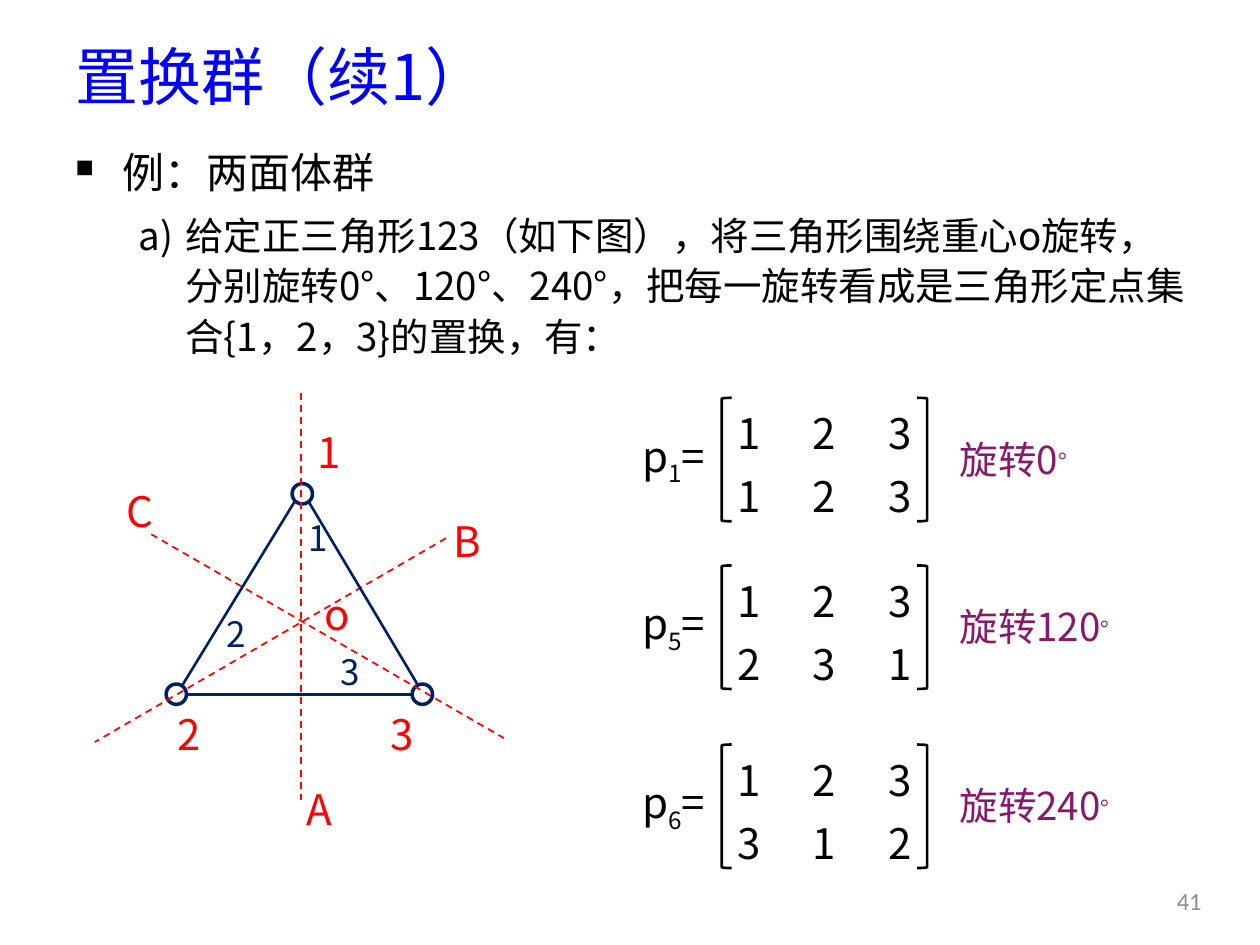
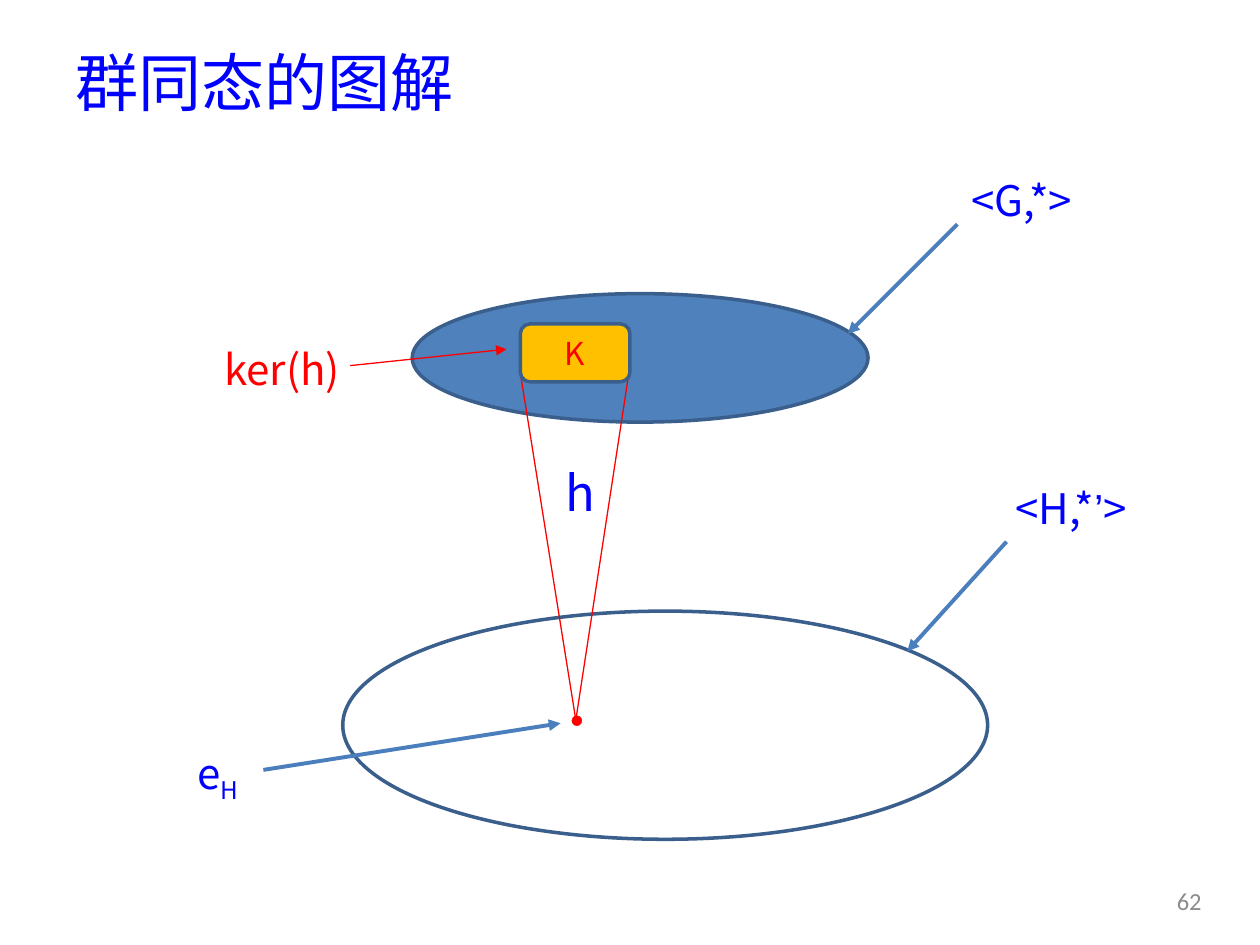
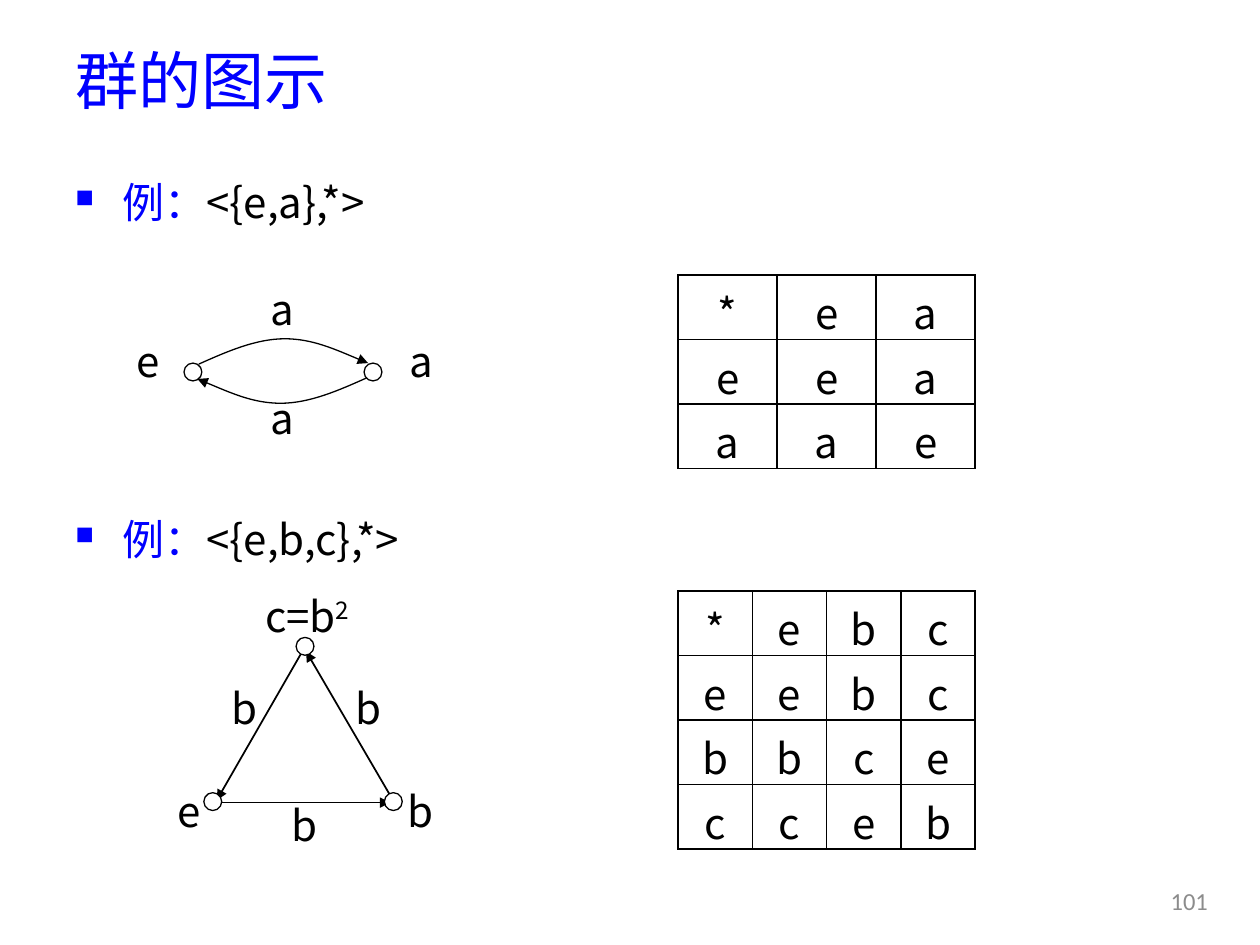
"""Build three slides on permutation groups, homomorphisms and group diagrams."""
from lxml.etree import SubElement
from pptx import Presentation
from pptx.dml.color import RGBColor
from pptx.enum.dml import MSO_LINE
from pptx.enum.shapes import MSO_CONNECTOR, MSO_SHAPE
from pptx.enum.text import MSO_ANCHOR, PP_ALIGN
from pptx.oxml.ns import qn
from pptx.util import Cm, Pt

FONT = "Noto Sans CJK SC"
BLUE = RGBColor(0x00, 0x00, 0xFF)
BLACK = RGBColor(0x00, 0x00, 0x00)
WHITE = RGBColor(0xFF, 0xFF, 0xFF)
RED = RGBColor(0xFF, 0x00, 0x00)
NAVY = RGBColor(0x00, 0x20, 0x60)
PURPLE = RGBColor(0x87, 0x19, 0x6A)
GRAY = RGBColor(0x8C, 0x8C, 0x8C)
STEEL = RGBColor(0x4F, 0x81, 0xBD)
STEEL_EDGE = RGBColor(0x3A, 0x5F, 0x8C)
ARROW_BLUE = RGBColor(0x4B, 0x7E, 0xBC)
GOLD = RGBColor(0xFF, 0xC0, 0x00)
LEFT, CENTER = PP_ALIGN.LEFT, PP_ALIGN.CENTER


def write(paragraph, size, color, text, baseline=0, font=FONT):
    """Append one formatted run; baseline is a percentage."""
    run = paragraph.add_run()
    run.text = text
    run.font.size = Pt(size)
    run.font.color.rgb = color
    run.font.name = font
    properties = run.font._element
    SubElement(properties, qn("a:ea")).set("typeface", font)
    if baseline:
        properties.set("baseline", str(baseline * 1000))


def style_line(shape, color, width, mark=None):
    """Set the outline, an optional dash or arrow, and no shadow."""
    shape.line.color.rgb = color
    shape.line.width = Pt(width)
    if mark == "dash":
        shape.line.dash_style = MSO_LINE.DASH
    if mark == "arrow":
        outline = shape.element.spPr.find(qn("a:ln"))
        SubElement(outline, qn("a:tailEnd")).set("type", "triangle")
    SubElement(shape.element.spPr, qn("a:effectLst"))


presentation = Presentation()
presentation.slide_width = Cm(25.4)
presentation.slide_height = Cm(19.05)
blank_layout = presentation.slide_layouts[6]
rotation_slide, kernel_slide, diagram_slide = [
    presentation.slides.add_slide(blank_layout) for _ in range(3)]

bodies = [
    (rotation_slide, 2.72, 5.21, [
        [("例：两面体群", BLACK)],
        [("给定正三角形123（如下图），将三角形围绕重心o旋转，分别旋转0°、120°、240°，"
          "把每一旋转看成是三角形定点集合{1，2，3}的置换，有：", BLACK)]]),
    (diagram_slide, 3.33, 2.01, [[("例：", BLUE), ("<{e,a},*>", BLACK)]]),
    (diagram_slide, 10.13, 1.6, [[("例：", BLUE), ("<{e,b,c},*>", BLACK)]]),
]
for slide, top, height, paragraphs in bodies:
    text_frame = slide.shapes.add_textbox(
        Cm(1.27), Cm(top), Cm(22.86), Cm(height)).text_frame
    text_frame.word_wrap = True
    for level, pieces in enumerate(paragraphs):
        paragraph = text_frame.add_paragraph() if level else text_frame.paragraphs[0]
        paragraph.level = level
        paragraph.line_spacing = 1.1
        paragraph.space_after = Pt(6)
        properties = paragraph._p.get_or_add_pPr()
        properties.set("marL", str(Cm(0.95 + 1.27 * level)))
        properties.set("indent", str(-Cm(0.95)))
        if level:
            SubElement(properties, qn("a:buAutoNum")).set("type", "alphaLcParenR")
        else:
            SubElement(properties, qn("a:buSzPct")).set("val", "60000")
            SubElement(properties, qn("a:buChar")).set("char", "■")
        for text, color in pieces:
            write(paragraph, 24 - 2 * level, color, text)

permutations = [(7.95, "1", "0", "123"), (11.33, "5", "120", "231"), (14.94, "6", "240", "312")]
bracket_tops = [top + 0.07 for top, *_ in permutations]

LINE = None
drawings = [
    (rotation_slide, MSO_SHAPE.LEFT_BRACKET, BLACK, 1.5, None, None,
     [(14.55, top, 0.2, 2.49) for top in bracket_tops]),
    (rotation_slide, MSO_SHAPE.RIGHT_BRACKET, BLACK, 1.5, None, None,
     [(18.49, top, 0.2, 2.49) for top in bracket_tops]),
    (rotation_slide, MSO_SHAPE.OVAL, NAVY, 2, None, None,
     [(left, top, 0.41, 0.41) for left, top in [(5.89, 9.75), (8.31, 13.79), (3.35, 13.79)]]),
    (rotation_slide, LINE, RED, 1, None, "dash",
     [(6.07, 7.92, 6.07, 16.13), (8.99, 10.85, 1.91, 14.96), (3.05, 10.77, 10.16, 14.88)]),
    (rotation_slide, LINE, NAVY, 1.5, None, None,
     [(3.66, 13.84, 5.94, 10.11), (8.43, 13.82, 6.22, 10.11), (3.73, 14, 8.33, 14)]),
    (kernel_slide, MSO_SHAPE.OVAL, STEEL_EDGE, 2, STEEL, None, [(8.31, 5.92, 9.19, 2.59)]),
    (kernel_slide, MSO_SHAPE.OVAL, STEEL_EDGE, 2, None, None, [(6.91, 12.32, 13, 4.6)]),
    (kernel_slide, MSO_SHAPE.OVAL, RED, 0.25, RED, None, [(11.53, 14.43, 0.2, 0.2)]),
    (kernel_slide, LINE, RED, 0.75, None, None,
     [(10.49, 7.52, 11.61, 14.53), (12.67, 7.57, 11.61, 14.5)]),
    (kernel_slide, LINE, RED, 0.75, None, "arrow", [(7.06, 7.37, 10.21, 7.04)]),
    (kernel_slide, LINE, ARROW_BLUE, 2.25, None, "arrow",
     [(19.3, 4.52, 17.09, 6.73), (5.31, 15.52, 11.3, 14.58), (20.29, 10.92, 18.29, 13.13)]),
    (diagram_slide, LINE, BLACK, 1, None, "arrow",
     [(4.27, 16.18, 7.87, 16.18), (6.17, 13, 4.37, 16.13), (7.98, 16.23, 6.17, 13.13)]),
    (diagram_slide, MSO_SHAPE.FLOWCHART_CONNECTOR, BLACK, 0.75, WHITE, None,
     [(left, top, 0.36, 0.36) for left, top in
      [(7.34, 7.32), (3.71, 7.32), (5.97, 12.85), (7.75, 15.98), (4.11, 15.98)]]),
]
for slide, kind, color, width, fill, mark, places in drawings:
    for place in places:
        lengths = [Cm(value) for value in place]
        if kind is LINE:
            shape = slide.shapes.add_connector(MSO_CONNECTOR.STRAIGHT, *lengths)
        else:
            shape = slide.shapes.add_shape(kind, *lengths)
            if fill is None:
                shape.fill.background()
            else:
                shape.fill.solid()
                shape.fill.fore_color.rgb = fill
        style_line(shape, color, width, mark)

kernel = kernel_slide.shapes.add_shape(
    MSO_SHAPE.ROUNDED_RECTANGLE, Cm(10.49), Cm(6.53), Cm(2.21), Cm(1.17))
kernel.fill.solid()
kernel.fill.fore_color.rgb = GOLD
style_line(kernel, STEEL_EDGE, 2)
kernel.text_frame.vertical_anchor = MSO_ANCHOR.MIDDLE
kernel.text_frame.paragraphs[0].alignment = CENTER
write(kernel.text_frame.paragraphs[0], 18, RED, "K")

upper_arc = [(4.01, 7.34), (4.57, 7.09), (5.16, 6.83), (5.74, 6.83),
             (6.3, 6.83), (6.86, 7.09), (7.42, 7.32)]
lower_arc = [(11.4 - x, 14.96 - y) for x, y in upper_arc]
for arc in (upper_arc, lower_arc):
    start, *controls = [(Cm(x), Cm(y)) for x, y in arc]
    builder = diagram_slide.shapes.build_freeform(*start)
    builder.add_line_segments(controls, close=False)
    shape = builder.convert_to_shape()
    shape.fill.background()
    style_line(shape, BLACK, 0.75, "arrow")
    outline = next(shape.element.iter(qn("a:path")))
    segments = outline.findall(qn("a:lnTo"))
    for first in range(0, len(segments), 3):
        curve = SubElement(outline, qn("a:cubicBezTo"))
        for segment in segments[first:first + 3]:
            curve.append(segment[0])
            outline.remove(segment)

labels = [
    (rotation_slide, 22.86, 2.36, 36, BLUE, LEFT, [(1.27, 0.33, ("置换群（续1）",))]),
    (kernel_slide, 22.86, 2.16, 36, BLUE, LEFT, [(1.27, 0.56, ("群同态的图解",))]),
    (diagram_slide, 22.86, 1.8, 36, BLUE, LEFT, [(1.27, 0.69, ("群的图示",))]),
    (rotation_slide, 2.59, 1.4, 24, BLACK, CENTER,
     [(12.29, top + 0.6, ("p",), (index, -25), ("=",)) for top, index, *_ in permutations]),
    (rotation_slide, 4.01, 1.4, 22, PURPLE, LEFT,
     [(19.1, top + 0.6, ("旋转" + angle,), ("。", 40)) for top, _, angle, _ in permutations]),
    (rotation_slide, 1.8, 1.4, 24, RED, CENTER,
     [(5.74, 8.41, ("1",)), (7.21, 14.1, ("3",)), (2.92, 14.1, ("2",)), (5.54, 15.6, ("A",)),
      (8.53, 10.21, ("B",)), (1.93, 9.6, ("C",)), (5.89, 11.68, ("o",))]),
    (rotation_slide, 1.8, 1.4, 20, NAVY, CENTER,
     [(5.51, 10.13, ("1",)), (6.17, 12.83, ("3",)), (3.86, 12.07, ("2",))]),
    (kernel_slide, 3, 1.4, 24, BLUE, CENTER, [(2.9, 14.94, ("e",), ("H", -25))]),
    (kernel_slide, 6.6, 1.4, 24, BLUE, CENTER,
     [(17.3, 3.33, ("<G,*>",)), (18.29, 9.53, ("<H,*",), ("’", 0, "Arial"), (">",))]),
    (kernel_slide, 2.01, 1.19, 28, BLUE, CENTER, [(10.69, 9.32, ("h",))]),
    (kernel_slide, 3, 1.4, 24, RED, CENTER, [(4.19, 6.73, ("ker(h)",))]),
    (diagram_slide, 1.4, 0.99, 24, BLACK, CENTER,
     [(5, 7.92, ("a",)), (2.29, 6.78, ("e",)), (5, 5.72, ("a",)), (7.8, 6.78, ("a",)),
      (3.12, 15.85, ("e",)), (4.22, 13.77, ("b",)), (7.77, 15.85, ("b",)),
      (5.44, 16.13, ("b",)), (6.73, 13.77, ("b",))]),
    (diagram_slide, 2.59, 0.99, 24, BLACK, CENTER, [(4.9, 11.91, ("c=b",), ("2", 30))]),
]
for slide, number in zip(presentation.slides, ("41", "62", "101")):
    labels.append((slide, 1.47, 1.02, 14, GRAY, CENTER, [(23.24, 17.65, (number, 0, "Calibri"))]))
for slide, width, height, size, color, alignment, items in labels:
    for left, top, *pieces in items:
        text_frame = slide.shapes.add_textbox(
            Cm(left), Cm(top), Cm(width), Cm(height)).text_frame
        text_frame.word_wrap = True
        text_frame.vertical_anchor = MSO_ANCHOR.MIDDLE
        text_frame.paragraphs[0].alignment = alignment
        for piece in pieces:
            write(text_frame.paragraphs[0], size, color, *piece)

tables = [(rotation_slide, 14.33, top, 4.57, 1.14, False, ["123", images])
          for top, _, _, images in permutations]
tables += [
    (diagram_slide, 13.67, 5.54, 5.99, 1.3, True, ["*ea", "eea", "aae"]),
    (diagram_slide, 13.67, 11.91, 5.99, 1.3, True, ["*ebc", "eebc", "bbce", "cceb"]),
]
for slide, left, top, width, row_height, bordered, rows in tables:
    table = slide.shapes.add_table(
        len(rows), len(rows[0]), Cm(left), Cm(top), Cm(width), Cm(row_height * len(rows))).table
    table.first_row = False
    table.horz_banding = False
    for row, letters in enumerate(rows):
        for column, letter in enumerate(letters):
            cell = table.cell(row, column)
            cell.vertical_anchor = MSO_ANCHOR.MIDDLE
            cell.text_frame.paragraphs[0].alignment = CENTER
            write(cell.text_frame.paragraphs[0], 24, BLACK, letter)
            for side in ("a:lnL", "a:lnR", "a:lnT", "a:lnB"):
                border = SubElement(cell._tc.get_or_add_tcPr(), qn(side), w=str(Pt(1)))
                if bordered:
                    border_fill = SubElement(border, qn("a:solidFill"))
                    SubElement(border_fill, qn("a:srgbClr")).set("val", str(BLACK))
                else:
                    SubElement(border, qn("a:noFill"))
            cell.fill.background()

presentation.save("out.pptx")
